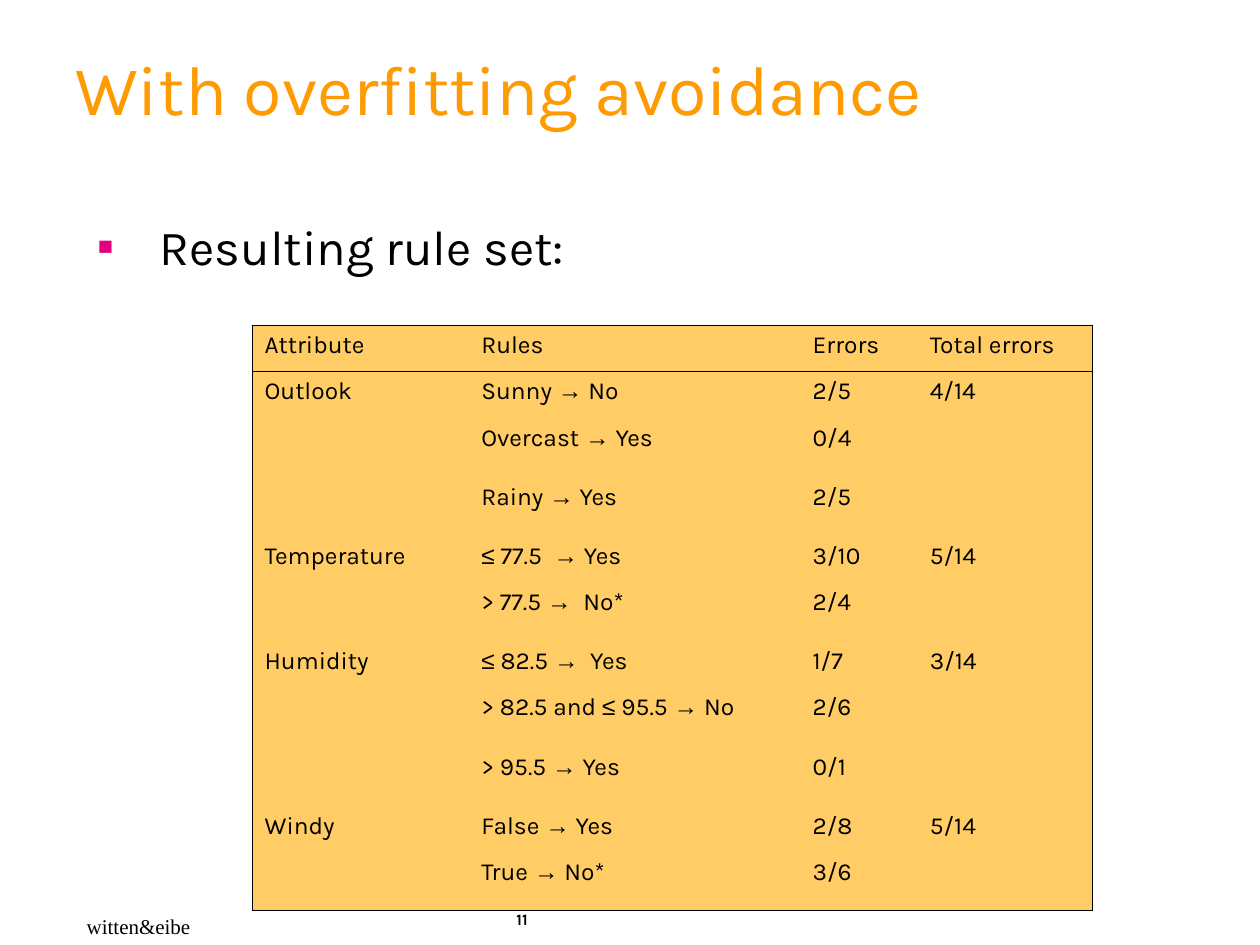
from itertools import groupby

from lxml import etree
from pptx import Presentation
from pptx.dml.color import RGBColor
from pptx.enum.text import MSO_ANCHOR, MSO_AUTO_SIZE
from pptx.oxml.ns import qn
from pptx.util import Inches, Pt

MIDDLE = MSO_ANCHOR.MIDDLE
TOP = MSO_ANCHOR.TOP
FIXED_SIZE = MSO_AUTO_SIZE.NONE
GROW_TO_FIT = MSO_AUTO_SIZE.SHAPE_TO_FIT_TEXT

COLORS = {"title": "FE9B03", "text": "000000", "bullet": "E2007F", "cell": "FFCC66", "border": "000000"}
FONT = "Karla"
SYMBOL_FONT = "Arial"
SYMBOLS = "→≤"

TITLE = "With overfitting avoidance"
BULLET_TEXT = "Resulting rule set:"
CREDIT = "witten&eibe"
PAGE_NUMBER = "11"
RULES = [
    ("Attribute", "Rules", "Errors", "Total errors"),
    ("Outlook", "Sunny → No", "2/5", "4/14"),
    ("", "Overcast → Yes", "0/4", ""),
    ("", "Rainy → Yes", "2/5", ""),
    ("Temperature", "≤ 77.5  → Yes", "3/10", "5/14"),
    ("", "> 77.5 →  No*", "2/4", ""),
    ("Humidity", "≤ 82.5 →  Yes", "1/7", "3/14"),
    ("", "> 82.5 and ≤ 95.5 → No", "2/6", ""),
    ("", "> 95.5 → Yes", "0/1", ""),
    ("Windy", "False → Yes", "2/8", "5/14"),
    ("", "True → No*", "3/6", ""),
]
COLUMN_WIDTHS = [1.72, 2.63, 0.93, 1.39]
TABLE_LEFT, TABLE_TOP, TABLE_HEIGHT = 2, 2.58, 4.03
PARTIAL_ROW_HEIGHT = 0.47
BORDER_WIDTH = 0.45


def add_run(paragraph, text, size, color="text", font=FONT, bold=False):
    run = paragraph.add_run()
    run.text = text
    run.font.size = Pt(size)
    run.font.name = font
    run.font.bold = bold
    run.font.color.rgb = RGBColor.from_string(COLORS[color])


def add_text(slide, box, text, size, wrap=True, anchor=TOP, auto_size=FIXED_SIZE, **style):
    shape = slide.shapes.add_textbox(*map(Inches, box))
    frame = shape.text_frame
    frame.word_wrap = wrap
    frame.auto_size = auto_size
    frame.vertical_anchor = anchor
    paragraph = frame.paragraphs[0]
    add_run(paragraph, text, size, **style)
    return paragraph


def add_bullet(paragraph):
    properties = paragraph._p.get_or_add_pPr()
    properties.set("marL", str(Inches(0.5)))
    properties.set("indent", str(-Inches(0.5)))
    color = etree.SubElement(properties, qn("a:buClr"))
    etree.SubElement(color, qn("a:srgbClr"), val=COLORS["bullet"])
    etree.SubElement(properties, qn("a:buFont"), typeface=SYMBOL_FONT)
    etree.SubElement(properties, qn("a:buChar"), char="▪")


def set_borders(cell, visible_sides):
    properties = cell._tc.get_or_add_tcPr()
    for side in "LRTB":
        line = etree.SubElement(properties, qn(f"a:ln{side}"), w=str(Pt(BORDER_WIDTH)))
        if side in visible_sides:
            fill = etree.SubElement(line, qn("a:solidFill"))
            etree.SubElement(fill, qn("a:srgbClr"), val=COLORS["border"])
        else:
            etree.SubElement(line, qn("a:noFill"))


def add_rule_table(slide):
    row_count, column_count = len(RULES), len(COLUMN_WIDTHS)
    table = slide.shapes.add_table(
        row_count, column_count, Inches(TABLE_LEFT), Inches(TABLE_TOP),
        Inches(sum(COLUMN_WIDTHS)), Inches(TABLE_HEIGHT)).table
    for column, width in zip(table.columns, COLUMN_WIDTHS):
        column.width = Inches(width)
    for row_index, values in enumerate(RULES):
        height = TABLE_HEIGHT / row_count if all(values) else PARTIAL_ROW_HEIGHT
        table.rows[row_index].height = Inches(height)
        for column_index, value in enumerate(values):
            cell = table.cell(row_index, column_index)
            sides = {
                "L": column_index == 0,
                "R": column_index == column_count - 1,
                "T": row_index in (0, 1),
                "B": row_index in (0, row_count - 1),
            }
            set_borders(cell, [side for side, visible in sides.items() if visible])
            cell.fill.solid()
            cell.fill.fore_color.rgb = RGBColor.from_string(COLORS["cell"])
            paragraph = cell.text_frame.paragraphs[0]
            for is_symbol, letters in groupby(value, key=lambda letter: letter in SYMBOLS):
                add_run(paragraph, "".join(letters), 14, font=SYMBOL_FONT if is_symbol else FONT)


def main():
    presentation = Presentation()
    presentation.slide_width = Inches(10)
    presentation.slide_height = Inches(7.5)
    slide = presentation.slides.add_slide(presentation.slide_layouts[6])

    title = add_text(slide, (0.5, 0.25, 9.08, 1), TITLE, 40, anchor=MIDDLE, color="title")
    title.line_spacing = 0.85
    add_bullet(add_text(slide, (0.67, 1.67, 8.25, 4.5), BULLET_TEXT, 28))
    add_rule_table(slide)
    add_text(slide, (0.59, 7.2, 1.06, 0.3), CREDIT, 12, wrap=False,
             auto_size=GROW_TO_FIT, font="Times New Roman")
    add_text(slide, (4, 7.17, 1.02, 0.33), PAGE_NUMBER, 9, bold=True)

    presentation.save("out.pptx")


if __name__ == "__main__":
    main()
